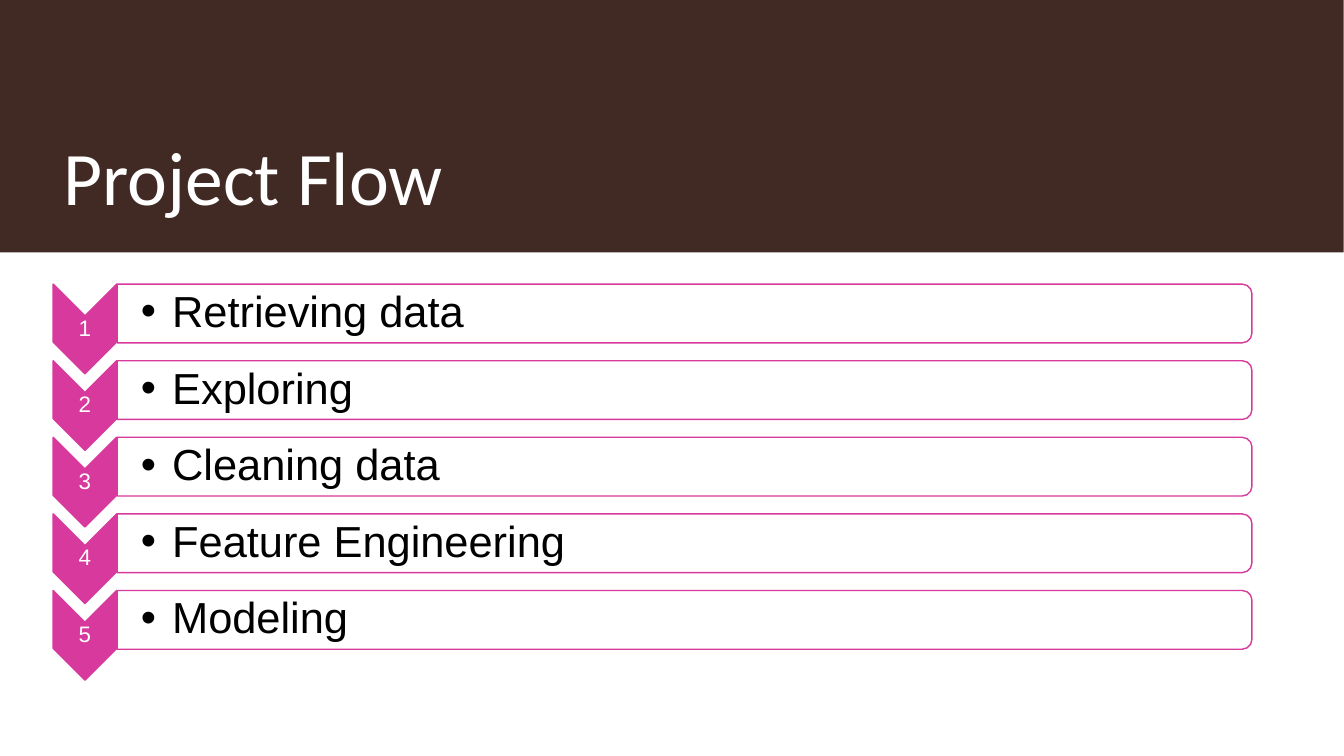
from dataclasses import dataclass

from lxml.etree import SubElement
from pptx import Presentation
from pptx.dml.color import RGBColor
from pptx.enum.shapes import MSO_SHAPE as Preset
from pptx.enum.text import MSO_ANCHOR as Anchor, PP_ALIGN as Align
from pptx.oxml.ns import qn
from pptx.util import Cm, Pt


@dataclass(frozen=True)
class Theme:
    banner: str = "412A24"
    accent: str = "D7399D"
    light: str = "FFFFFF"
    dark: str = "000000"
    title_font: str = "Calibri"
    body_font: str = "Arial"
    title_size: int = 54
    step_size: int = 31
    number_size: int = 16


THEME = Theme()
STEPS = ["Retrieving data", "Exploring", "Cleaning data", "Feature Engineering", "Modeling"]
FIRST_CENTER = 8.29
STEP_PITCH = 1.93
BAR_RISE = 0.39


def add_preset(slide, preset, center_x, center_y, width, height, fill, line=None, rotation=0):
    shape = slide.shapes.add_shape(
        preset, Cm(center_x - width / 2), Cm(center_y - height / 2), Cm(width), Cm(height))
    shape.rotation = rotation
    shape.shadow.inherit = False
    shape.fill.solid()
    shape.fill.fore_color.rgb = RGBColor.from_string(fill)
    if line:
        shape.line.color.rgb = RGBColor.from_string(line)
        shape.line.width = Pt(1)
    else:
        shape.line.fill.background()
    return shape


def add_text(slide, text, box, font, size, color, anchor=Anchor.MIDDLE, insets=None):
    text_frame = slide.shapes.add_textbox(*map(Cm, box)).text_frame
    text_frame.word_wrap = True
    text_frame.vertical_anchor = anchor
    if insets:
        text_frame.margin_left = Cm(insets[0])
        text_frame.margin_right = text_frame.margin_top = text_frame.margin_bottom = Cm(insets[1])
    text_frame.text = text
    paragraph = text_frame.paragraphs[0]
    paragraph.line_spacing = 0.9
    for run in paragraph.runs:
        run.font.name = font
        run.font.size = Pt(size)
        run.font.color.rgb = RGBColor.from_string(color)
    return paragraph


def set_bullet(paragraph, indent):
    properties = paragraph._p.get_or_add_pPr()
    properties.set("marL", str(Cm(indent)))
    properties.set("indent", str(-Cm(indent)))
    SubElement(properties, qn("a:buFont"), typeface=THEME.body_font)
    SubElement(properties, qn("a:buChar"), char="•")


def set_opacity(shape, percent):
    color = shape.fill._xPr.find(qn("a:solidFill"))[0]
    SubElement(color, qn("a:alpha"), val=str(percent * 1000))


def add_step(slide, number, label, center_y):
    bar_y = center_y - BAR_RISE
    add_preset(slide, Preset.CHEVRON, 2.14, center_y, 2.26, 1.6,
               THEME.accent, THEME.accent, rotation=90)
    numeral = add_text(slide, str(number), (1.34, center_y - 0.34, 1.6, 0.68),
                       THEME.body_font, THEME.number_size, THEME.light, insets=(0.03, 0.03))
    numeral.alignment = Align.CENTER
    bar = add_preset(slide, Preset.ROUND_2_SAME_RECTANGLE, 17.25, bar_y, 1.48, 28.6,
                     THEME.light, THEME.accent, rotation=90)
    set_opacity(bar, 90)
    item = add_text(slide, label, (2.94, bar_y - 0.66, 28.52, 1.32),
                    THEME.body_font, THEME.step_size, THEME.dark, insets=(0.61, 0.05))
    set_bullet(item, 0.79)


def main():
    presentation = Presentation()
    presentation.slide_width = Cm(33.87)
    presentation.slide_height = Cm(19.05)
    slide = presentation.slides.add_slide(presentation.slide_layouts[6])
    add_preset(slide, Preset.RECTANGLE, 16.93, 3.18, 33.87, 6.36, THEME.banner)
    add_text(slide, "Project Flow", (1.35, 1.02, 30.2, 4.7), THEME.title_font,
             THEME.title_size, THEME.light, anchor=Anchor.BOTTOM)
    for index, label in enumerate(STEPS):
        add_step(slide, index + 1, label, FIRST_CENTER + index * STEP_PITCH)
    presentation.save("out.pptx")


main()
